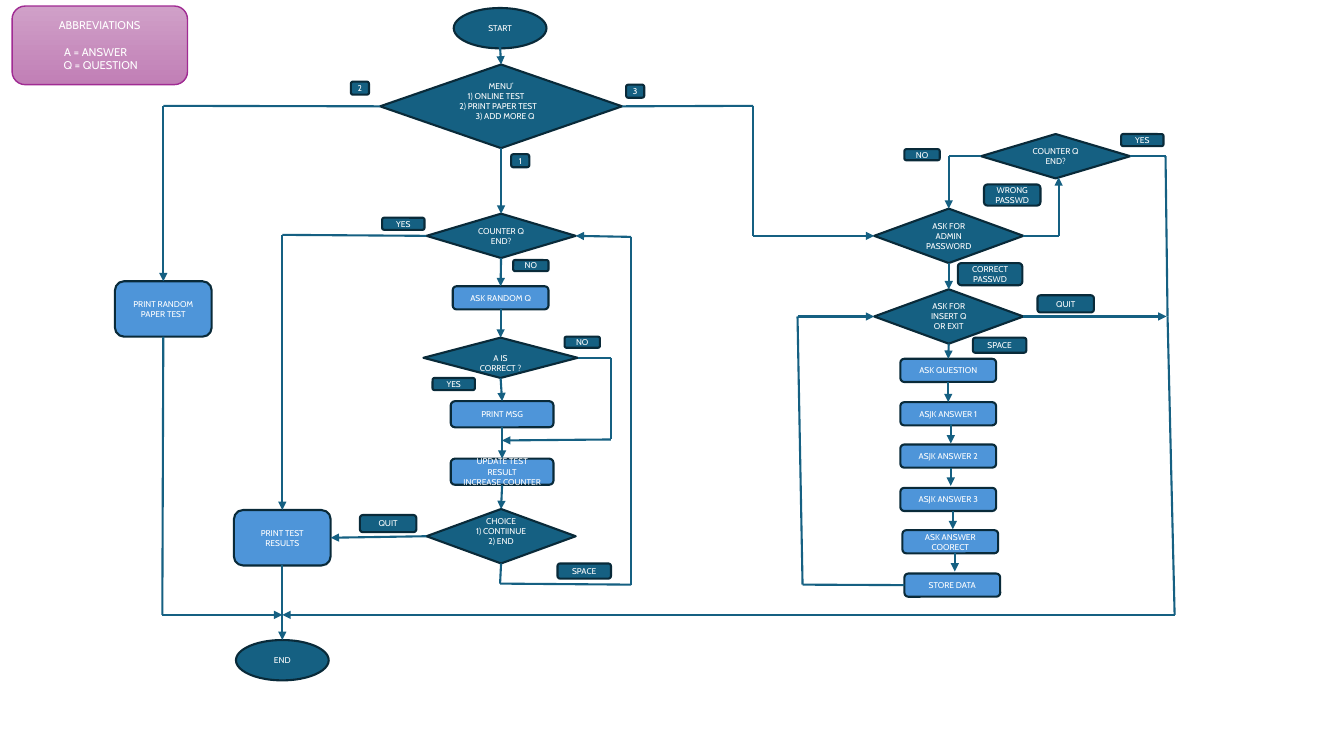
from dataclasses import dataclass
from itertools import pairwise

from lxml.etree import SubElement
from pptx import Presentation
from pptx.dml.color import RGBColor
from pptx.enum.shapes import MSO_CONNECTOR, MSO_SHAPE
from pptx.enum.text import MSO_ANCHOR, PP_ALIGN
from pptx.oxml.ns import qn
from pptx.shapes.autoshape import Shape
from pptx.slide import Slide
from pptx.util import Pt

EMU_PER_PX = 9144
SNAP_PX = 2
FONT = "Cabin"
COLORS = {
    "dark": "156082",
    "light": "4E95D9",
    "outline": "092A39",
    "text": "FFFFFF",
    "legend_top": "D0A0C8",
    "legend_bottom": "C17FB6",
    "legend_outline": "A02B93",
}
LABEL_SIZES = {"NO": (35, 11), "YES": (42, 12), "SPACE": (53, 15), "QUIT": (56, 17)}
DIGIT_SIZE = (18, 13)

Point = tuple[int, int]


@dataclass(frozen=True)
class Box:
    text: str
    left: int
    top: int
    width: int
    height: int
    kind: MSO_SHAPE = MSO_SHAPE.ROUNDED_RECTANGLE
    fill: str = "light"
    lift: int = 0
    shifts: tuple[int, ...] = ()
    size: int = 6


@dataclass(frozen=True)
class Route:
    points: tuple[Point, ...]


def px(value: float) -> int:
    return round(value * EMU_PER_PX)


def color(name: str) -> RGBColor:
    return RGBColor.from_string(COLORS[name])


def decision(text: str, left: int, top: int, width: int, height: int,
             lift: int = 0, shifts: tuple[int, ...] = ()) -> Box:
    return Box(text, left, top, width, height, MSO_SHAPE.FLOWCHART_DECISION,
               "dark", lift, shifts)


def terminal(text: str, left: int, top: int) -> Box:
    return Box(text, left, top, 92, 40, MSO_SHAPE.OVAL, "dark")


def label(text: str, left: int, top: int) -> Box:
    return Box(text, left, top, *LABEL_SIZES.get(text, DIGIT_SIZE), fill="dark")


LEGEND = Box("ABBREVIATIONS\nA = ANSWER\nQ = QUESTION", 12, 6, 174, 78,
             shifts=(0, -4, 5), size=8)

QUESTION_STEPS = (
    ("ASK QUESTION", 893), ("ASJK ANSWER 1", 893), ("ASJK ANSWER 2", 893),
    ("ASJK ANSWER 3", 893), ("ASK ANSWER COORECT", 895), ("STORE DATA", 897),
)

NODES = [
    terminal("START", 450, 8),
    terminal("END", 234, 635),
    decision("MENU’\n1) ONLINE TEST\n2) PRINT PAPER TEST\n3) ADD MORE Q",
             377, 64, 240, 83, lift=5, shifts=(0, -5, 2, 9)),
    decision("COUNTER Q END?", 423, 212, 148, 44),
    decision("A IS\vCORRECT ?", 420, 335, 153, 40, lift=-5),
    decision("CHOICE\n1) CONTIINUE 2) END", 423, 505, 148, 54, lift=5),
    decision("COUNTER Q END?", 973, 133, 148, 44),
    decision("ASK FOR ADMIN\nPASSWORD", 867, 207, 148, 54),
    decision("ASK FOR INSERT Q\nOR EXIT", 867, 287, 148, 54),
    Box("PRINT RANDOM PAPER TEST", 114, 279, 96, 55),
    Box("PRINT TEST\nRESULTS", 232, 506, 96, 55),
    Box("ASK RANDOM Q", 449, 284, 95, 23),
    Box("PRINT MSG", 447, 398, 102, 26),
    Box("UPDATE TEST RESULT\nINCREASE COUNTER", 447, 455, 102, 26),
    *(Box(text, left, round(356 + 42.6 * step), 95, 23)
      for step, (text, left) in enumerate(QUESTION_STEPS)),
]

LABELS = [
    label("1", 507, 153),
    label("2", 348, 81),
    label("3", 621, 84),
    label("YES", 379, 216),
    label("NO", 509, 258),
    label("YES", 429, 375),
    label("NO", 560, 334),
    label("QUIT", 357, 511),
    label("SPACE", 553, 559),
    label("NO", 897, 148),
    label("YES", 1112, 133),
    label("QUIT", 1029, 293),
    label("SPACE", 965, 335),
    Box("WRONG PASSWD", 976, 183, 56, 21, fill="dark"),
    Box("CORRECT PASSWD", 950, 261, 64, 22, fill="dark"),
]

ROUTES = [
    Route(((496, 46), (496, 64))),
    Route(((377, 105), (162, 105), (162, 279))),
    Route(((617, 105), (747, 105), (747, 234), (867, 234))),
    Route(((497, 147), (497, 212))),
    Route(((423, 234), (280, 233), (280, 506))),
    Route(((497, 256), (497, 284))),
    Route(((497, 307), (497, 335))),
    Route(((497, 375), (498, 398))),
    Route(((573, 355), (606, 355), (606, 436), (498, 437))),
    Route(((498, 424), (498, 455))),
    Route(((498, 481), (497, 505))),
    Route(((423, 532), (328, 532))),
    Route(((497, 559), (496, 579), (626, 580), (626, 235), (571, 234))),
    Route(((162, 334), (161, 610), (280, 610))),
    Route(((280, 561), (280, 635))),
    Route(((1015, 234), (1050, 234), (1050, 176))),
    Route(((973, 155), (941, 155), (941, 207))),
    Route(((941, 261), (941, 287))),
    Route(((941, 341), (941, 356))),
    Route(((941, 379), (941, 399))),
    Route(((943, 421), (943, 440))),
    Route(((943, 464), (943, 482))),
    Route(((945, 507), (945, 525))),
    Route(((947, 549), (947, 567))),
    Route(((897, 580), (796, 580), (791, 314), (867, 314))),
    Route(((1015, 314), (1157, 314))),
    Route(((1121, 155), (1156, 155), (1158, 314), (1165, 610), (280, 610))),
]


def draw_box(slide: Slide, box: Box) -> Shape:
    shape = slide.shapes.add_shape(box.kind, px(box.left), px(box.top),
                                   px(box.width), px(box.height))
    shape.shadow.inherit = False
    shape.fill.solid()
    shape.fill.fore_color.rgb = color(box.fill)
    shape.line.color.rgb = color("outline")
    shape.line.width = Pt(1.5)
    frame = shape.text_frame
    frame.text = box.text
    frame.word_wrap = True
    frame.vertical_anchor = MSO_ANCHOR.MIDDLE
    frame.margin_left = frame.margin_right = px(10 if box.width > 64 else 2)
    frame.margin_top = px(max(0, -2 * box.lift))
    frame.margin_bottom = px(max(0, 2 * box.lift))
    for paragraph in frame.paragraphs:
        paragraph.alignment = PP_ALIGN.CENTER
        for run in paragraph.runs:
            run.font.name = FONT
            run.font.size = Pt(box.size)
            run.font.color.rgb = color("text")
    for paragraph, shift in zip(frame.paragraphs, box.shifts):
        side = "marL" if shift > 0 else "marR"
        paragraph._p.get_or_add_pPr().set(side, str(px(2 * abs(shift))))
    return shape


def draw_legend(slide: Slide) -> None:
    shape = draw_box(slide, LEGEND)
    shape.fill.gradient()
    shape.fill.gradient_angle = 270
    for stop, name in zip(shape.fill.gradient_stops, ("legend_top", "legend_bottom")):
        stop.color.rgb = color(name)
    shape.line.color.rgb = color("legend_outline")
    shape.line.width = Pt(1)
    shape.text_frame.paragraphs[0].space_after = Pt(9.5)


def find_side(point: Point, shapes: list[Shape]) -> tuple[Shape, int] | None:
    for shape in shapes:
        center_x, center_y = shape.left + shape.width / 2, shape.top + shape.height / 2
        sides = [(center_x, shape.top), (shape.left, center_y),
                 (center_x, shape.top + shape.height), (shape.left + shape.width, center_y)]
        if shape.auto_shape_type == MSO_SHAPE.OVAL:
            sides = sides[:1]
        for index, (x, y) in enumerate(sides):
            if max(abs(px(point[0]) - x), abs(px(point[1]) - y)) <= px(SNAP_PX):
                return shape, index
    return None


def draw_route(slide: Slide, route: Route, shapes: list[Shape]) -> None:
    for start, end in pairwise(route.points):
        connector = slide.shapes.add_connector(MSO_CONNECTOR.STRAIGHT, *map(px, start + end))
        connector.line.color.rgb = color("dark")
        connector.line.width = Pt(1.5)
        properties = connector._element.spPr
        if end == route.points[-1]:
            SubElement(properties.find(qn("a:ln")), qn("a:tailEnd"), type="triangle")
            if side := find_side(end, shapes):
                connector.end_connect(*side)
        if start == route.points[0] and (side := find_side(start, shapes)):
            connector.begin_connect(*side)
        SubElement(properties, qn("a:effectLst"))


def main() -> None:
    presentation = Presentation()
    presentation.slide_width, presentation.slide_height = px(1333), px(750)
    slide = presentation.slides.add_slide(presentation.slide_layouts[6])
    draw_legend(slide)
    shapes = [draw_box(slide, node) for node in NODES]
    for route in ROUTES:
        draw_route(slide, route, shapes)
    for box in LABELS:
        draw_box(slide, box)
    presentation.save("out.pptx")


if __name__ == "__main__":
    main()
